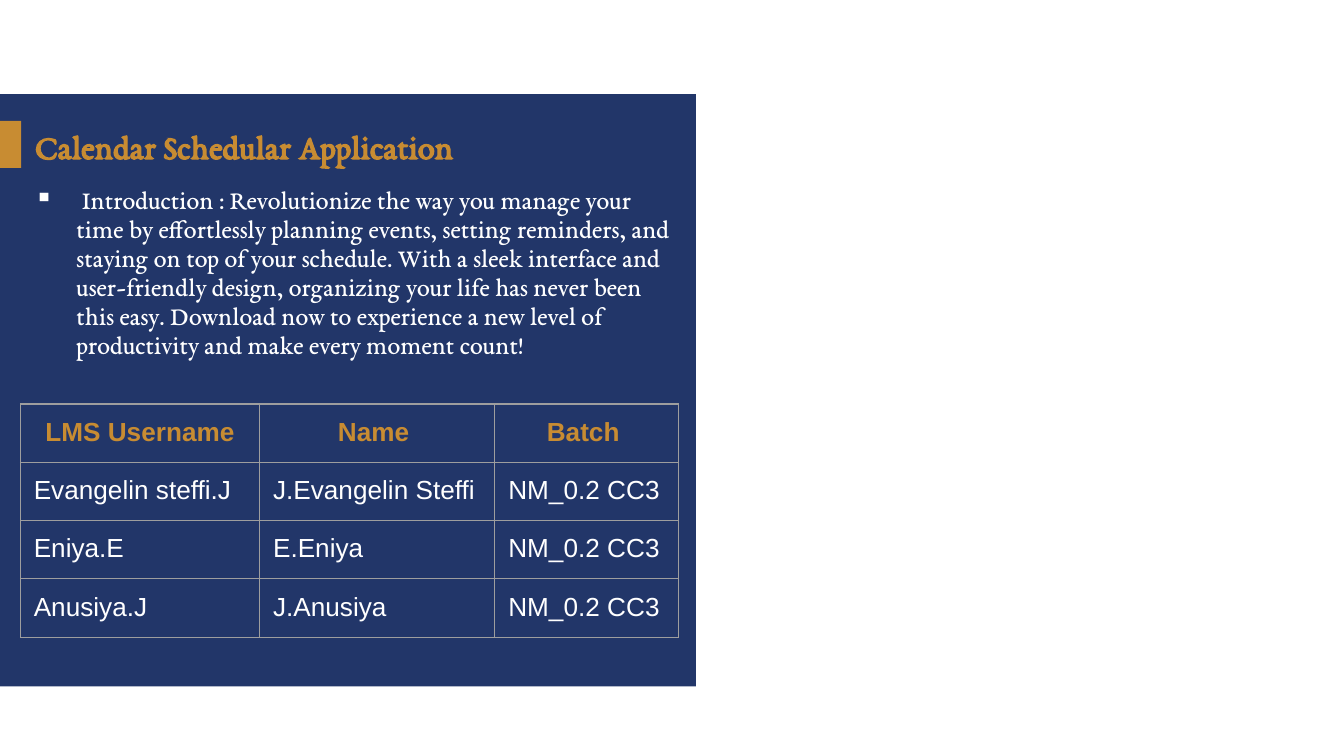
from typing import NamedTuple

from lxml import etree
from pptx import Presentation
from pptx.dml.color import RGBColor
from pptx.enum.shapes import MSO_SHAPE
from pptx.enum.text import MSO_ANCHOR, MSO_AUTO_SIZE, PP_ALIGN
from pptx.oxml.ns import qn
from pptx.util import Pt

RECT = MSO_SHAPE.RECTANGLE
MIDDLE, TOP = MSO_ANCHOR.MIDDLE, MSO_ANCHOR.TOP
LEFT, CENTER = PP_ALIGN.LEFT, PP_ALIGN.CENTER
NO_AUTOFIT = MSO_AUTO_SIZE.NONE

NAVY = RGBColor(0x22, 0x36, 0x69)
GOLD = RGBColor(0xC8, 0x8C, 0x32)
WHITE = RGBColor(0xFF, 0xFF, 0xFF)
GRAY = RGBColor(0x9E, 0x9E, 0x9E)
SERIF, SANS = "EB Garamond", "Arial"


class Box(NamedTuple):
    left: float
    top: float
    width: float
    height: float

    def lengths(self) -> list:
        return [Pt(v) for v in self]


class Block(NamedTuple):
    box: Box
    color: RGBColor


PANEL = Block(Box(0, 50.4, 372.8, 317.3), NAVY)
MARKER = Block(Box(0, 64.8, 11.4, 25.2), GOLD)
TITLE_BOX = Box(11.4, 64.2, 269.3, 27.4)
INTRO_BOX = Box(11.4, 96.5, 357.8, 286.6)
TABLE_LEFT, TABLE_TOP, ROW_HEIGHT = 10.9, 216.4, 30
COLUMN_WIDTHS = [128.2, 126, 98.6]
INTRO_INDENT = 22.5
CELL_MARGIN = 7.2

INTRO = (
    " Introduction : Revolutionize the way you manage your time by "
    "effortlessly planning events, setting reminders, and staying on top of "
    "your schedule. With a sleek interface and user-friendly design, "
    "organizing your life has never been this easy. Download now to "
    "experience a new level of productivity and make every moment count!"
)
BATCH = "NM_0.2 CC3"
ROWS = [
    ("LMS Username", "Name ", "Batch "),
    ("Evangelin steffi.J", "J.Evangelin Steffi", BATCH),
    ("Eniya.E", "E.Eniya", BATCH),
    ("Anusiya.J", "J.Anusiya", BATCH),
]


def write(tf, text: str, *, font: str, size: float = 14, color: RGBColor = WHITE,
          bold: bool = False, align=LEFT):
    p = tf.paragraphs[0]
    p.alignment = align
    r = p.add_run()
    r.text = text
    r.font.name, r.font.size, r.font.bold = font, Pt(size), bold
    r.font.color.rgb = color
    return p


def add_block(s, block: Block):
    sp = s.shapes.add_shape(RECT, *block.box.lengths())
    sp.shadow.inherit = False
    sp.fill.solid()
    sp.fill.fore_color.rgb = block.color
    sp.line.fill.background()
    return sp


def add_fill(parent, color: RGBColor) -> None:
    fill = etree.SubElement(parent, qn("a:solidFill"))
    etree.SubElement(fill, qn("a:srgbClr"), val=str(color))


def add_bullet(p, char: str, color: RGBColor, indent: float) -> None:
    pPr = p._p.get_or_add_pPr()
    pPr.set("marL", str(Pt(indent)))
    pPr.set("indent", str(-Pt(indent)))
    bullet_color = etree.SubElement(pPr, qn("a:buClr"))
    etree.SubElement(bullet_color, qn("a:srgbClr"), val=str(color))
    etree.SubElement(pPr, qn("a:buChar"), char=char)


def format_cell(cell) -> None:
    cell.margin_left = cell.margin_right = Pt(CELL_MARGIN)
    cell.margin_top = cell.margin_bottom = Pt(CELL_MARGIN)
    tcPr = cell._tc.get_or_add_tcPr()
    for side in ("lnL", "lnR", "lnT", "lnB"):
        add_fill(etree.SubElement(tcPr, qn(f"a:{side}"), w=str(Pt(0.75))), GRAY)
    cell.fill.background()


def add_title(s) -> None:
    sp = s.shapes.title
    sp.left, sp.top, sp.width, sp.height = TITLE_BOX.lengths()
    tf = sp.text_frame
    tf.auto_size = NO_AUTOFIT
    tf.vertical_anchor = MIDDLE
    write(tf, "Calendar Schedular Application", font=SERIF, size=18.3,
          color=GOLD, bold=True)


def add_intro(s) -> None:
    tf = s.shapes.add_textbox(*INTRO_BOX.lengths()).text_frame
    tf.word_wrap = True
    tf.vertical_anchor = TOP
    p = write(tf, INTRO, font=SERIF)
    p.line_spacing = 0.92
    add_bullet(p, "▪", WHITE, INTRO_INDENT)


def add_members(s) -> None:
    box = Box(TABLE_LEFT, TABLE_TOP, sum(COLUMN_WIDTHS), ROW_HEIGHT * len(ROWS))
    table = s.shapes.add_table(len(ROWS), len(COLUMN_WIDTHS), *box.lengths()).table
    table.first_row = table.horz_banding = False
    for column, width in zip(table.columns, COLUMN_WIDTHS):
        column.width = Pt(width)
    for i, row in enumerate(ROWS):
        header = i == 0
        for j, text in enumerate(row):
            cell = table.cell(i, j)
            format_cell(cell)
            write(cell.text_frame, text, font=SANS, bold=header,
                  color=GOLD if header else WHITE,
                  align=CENTER if header else LEFT)


def main() -> None:
    prs = Presentation()
    prs.slide_width, prs.slide_height = Pt(720), Pt(405)
    s = prs.slides.add_slide(prs.slide_layouts[5])
    add_block(s, PANEL)
    marker = add_block(s, MARKER)
    add_title(s)
    marker.element.addnext(s.shapes.title.element)  # title in front of the panel
    add_intro(s)
    add_members(s)
    prs.save("out.pptx")


if __name__ == "__main__":
    main()
